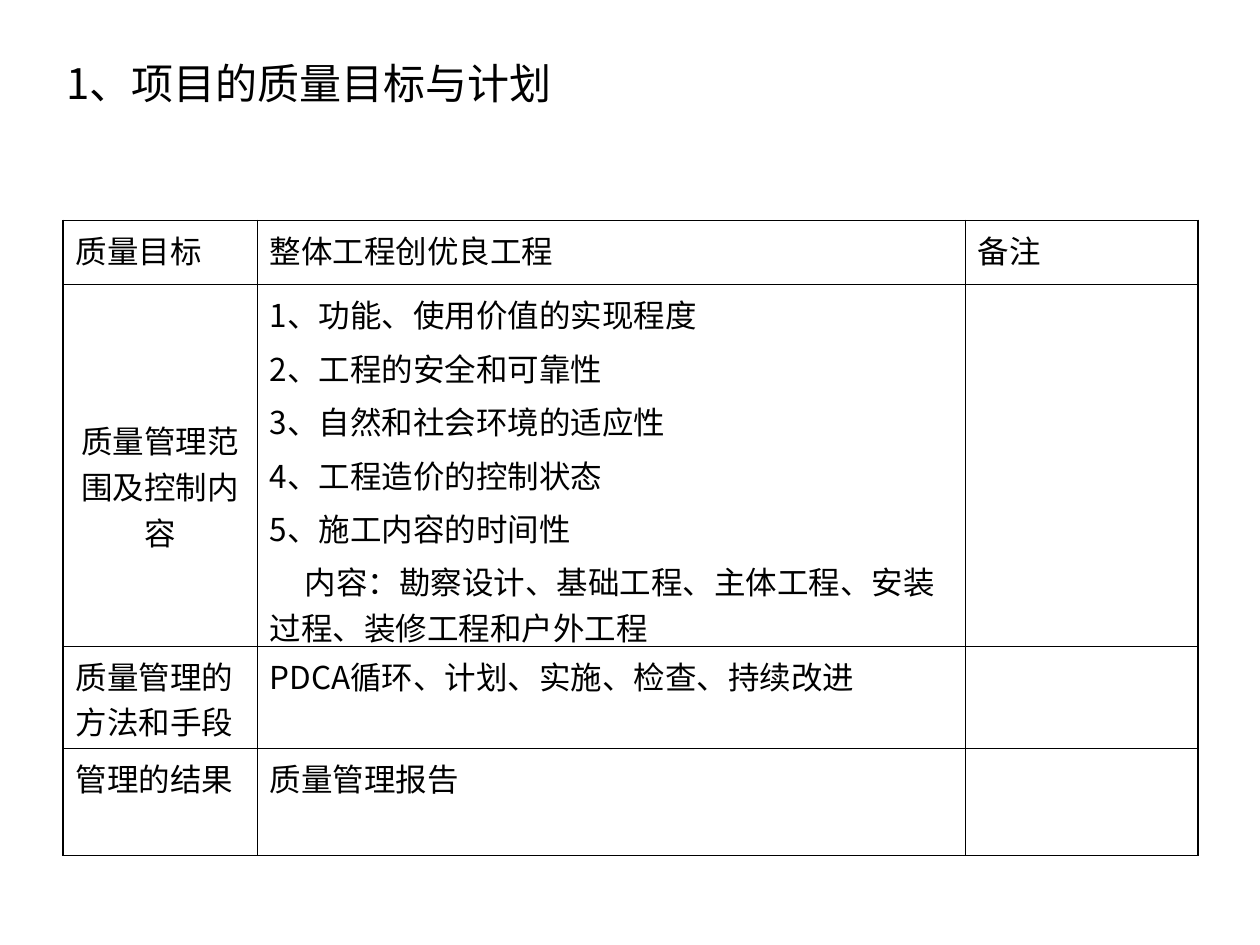
from lxml.etree import SubElement
from pptx import Presentation
from pptx.dml.color import RGBColor
from pptx.enum.text import MSO_ANCHOR, PP_ALIGN
from pptx.oxml import parse_xml
from pptx.oxml.ns import nsdecls, qn
from pptx.util import Inches, Pt

FONT = "Noto Sans CJK SC"
BLACK = "000000"


def rgb(value):
    return RGBColor.from_string(value)


def add_text(p, text, size):
    r = p.add_run()
    r.text = text
    for name, value in {"name": FONT, "size": Pt(size), "bold": False}.items():
        setattr(r.font, name, value)
    r.font.color.rgb = rgb(BLACK)
    SubElement(r.font._element, qn("a:ea"), typeface=FONT)


prs = Presentation()
prs.slide_width, prs.slide_height = Inches(10), Inches(7.5)
s = prs.slides.add_slide(prs.slide_layouts[6])

# Title
sp = s.shapes.add_textbox(Inches(0.43), Inches(0.28), Inches(9.21), Inches(0.75))
tf = sp.text_frame
for name, value in {"word_wrap": True, "vertical_anchor": MSO_ANCHOR.MIDDLE}.items():
    setattr(tf, name, value)
add_text(tf.paragraphs[0], "1、项目的质量目标与计划", 24)

# Table content: one list of paragraphs per cell
rows = [
    [["质量目标"], ["整体工程创优良工程"], ["备注"]],
    [
        ["质量管理范围及控制内容"],
        [
            "1、功能、使用价值的实现程度",
            "2、工程的安全和可靠性",
            "3、自然和社会环境的适应性",
            "4、工程造价的控制状态",
            "5、施工内容的时间性",
            "内容：勘察设计、基础工程、主体工程、安装过程、装修工程和户外工程",
        ],
        [],
    ],
    [["质量管理的方法和手段"], ["PDCA循环、计划、实施、检查、持续改进"], []],
    [["管理的结果"], ["质量管理报告"], []],
]
widths = [1.54, 5.62, 1.85]
heights = [0.51, 2.87, 0.81, 0.85]

# Table grid
table = s.shapes.add_table(
    len(rows), len(widths), Inches(0.5), Inches(1.75),
    Inches(sum(widths)), Inches(sum(heights)),
).table
for name in ("first_row", "horz_banding"):
    setattr(table, name, False)
for column, width in zip(table.columns, widths):
    column.width = Inches(width)
for row, height in zip(table.rows, heights):
    row.height = Inches(height)

# Cells: text, no fill, thick outer and thin inner borders
for i, row in enumerate(rows):
    for j, lines in enumerate(row):
        cell = table.cell(i, j)
        cell.fill.background()
        tf = cell.text_frame
        for n, line in enumerate(lines):
            p = tf.add_paragraph() if n else tf.paragraphs[0]
            if n:
                p.space_before = Pt(4.5)
            add_text(p, line, 18)

        outer = {
            "lnL": j == 0,
            "lnR": j == len(widths) - 1,
            "lnT": i == 0,
            "lnB": i == len(rows) - 1,
        }
        tcPr = cell._tc.get_or_add_tcPr()
        for n, (tag, is_outer) in enumerate(outer.items()):
            tcPr.insert(n, parse_xml(
                f'<a:{tag} {nsdecls("a")} w="{Pt(1.08 if is_outer else 0.45)}">'
                f'<a:solidFill><a:srgbClr val="{BLACK}"/></a:solidFill></a:{tag}>'
            ))

# Scope label sits centred, a little below the middle of its row
scope = table.cell(1, 0)
scope.text_frame.paragraphs[0].alignment = PP_ALIGN.CENTER
for name, value in {"vertical_anchor": MSO_ANCHOR.MIDDLE, "margin_top": Inches(0.37)}.items():
    setattr(scope, name, value)

# First-line indent of the contents paragraph
pPr = table.cell(1, 1).text_frame.paragraphs[-1]._p.get_or_add_pPr()
for name, value in {"marL": 0, "indent": Inches(0.28)}.items():
    pPr.set(name, str(int(value)))

prs.save("out.pptx")
